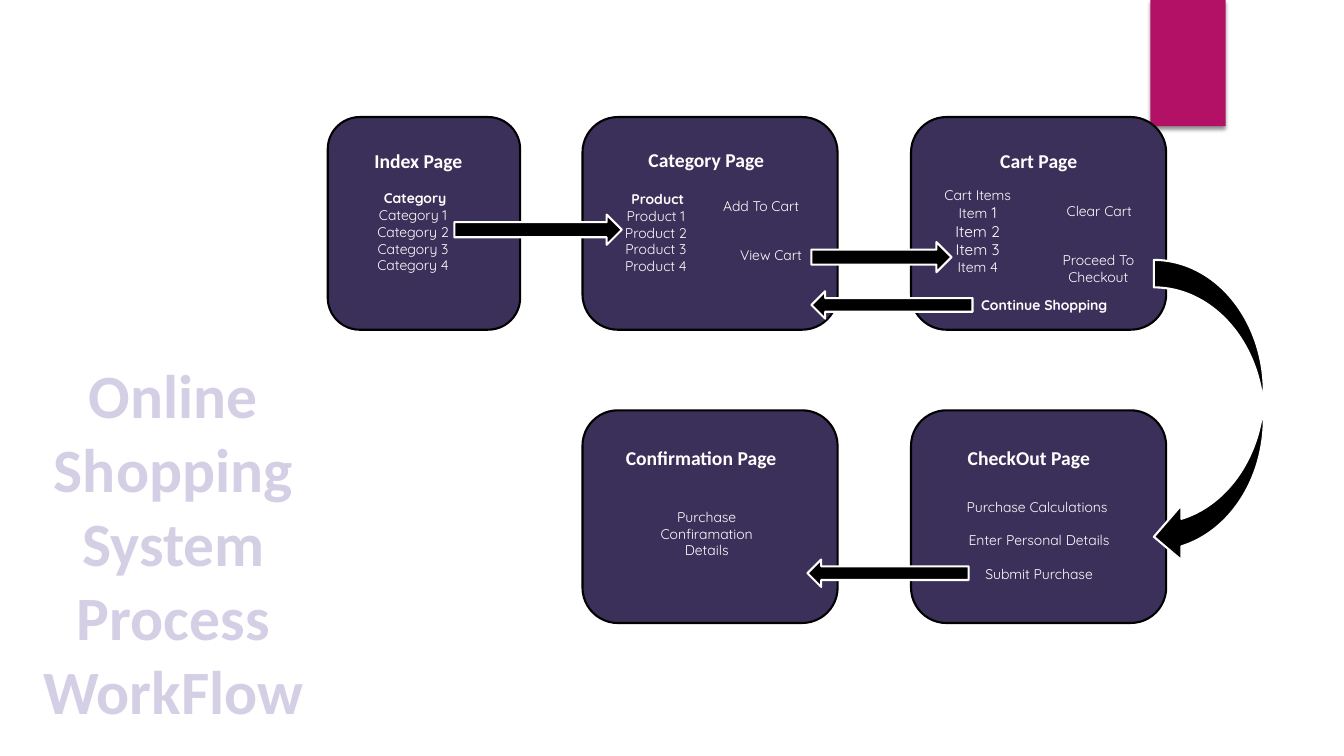
from lxml.etree import SubElement
from pptx import Presentation
from pptx.dml.color import RGBColor
from pptx.enum.shapes import MSO_SHAPE as Preset
from pptx.enum.text import MSO_ANCHOR as Anchor, MSO_AUTO_SIZE as AutoSize, PP_ALIGN as Align
from pptx.oxml.ns import qn
from pptx.util import Cm, Pt

COLORS = {"card": "3B3059", "tab": "B31166", "title": "D5CFE5",
          "ink": "000000", "paper": "FFFFFF"}

# Content: places are left, top, width (and height) in cm
TITLE = "Online Shopping System Process WorkFlow"
TITLE_PLACE = (0.62, 8.87, 7.5, 9.65)
TAB_PLACE = (28.99, 0, 1.9, 3.18)

CARD_TOPS, CARD_HEIGHT = (2.95, 10.34), 5.36
CARD_COLUMNS = ((8.26, 4.85), (14.68, 6.43), (22.96, 6.43))
# Page name, row, column, heading place
PAGES = [
    ("Index Page", 0, 0, (8.87, 3.63, 3.35)),
    ("Category Page", 0, 1, (14.69, 3.61, 6.22)),
    ("Cart Page", 0, 2, (23.07, 3.63, 6.22)),
    ("CheckOut Page", 1, 2, (22.82, 11.1, 6.22)),
    ("Confirmation Page", 1, 1, (14.56, 11.1, 6.22)),
]

# Lists: a line is a list of (words, size, bold)
CATEGORIES = [[(" Category", 10, True)]] + [[(f"Category {n}", 10, False)] for n in range(1, 5)]
PRODUCTS = [[(" Product", 10, True)]] + [[(f"Product {n}", 10, False)] for n in range(1, 5)]
CART_ITEMS = [
    [("Cart Items", 10, False)],
    [("Item", 10, False), (" 1", 11, False)],
    [("Item 2", 11, False)],
    [("Item 3", 11, False)],
    [("Item 4", 10, False)],
]
LISTS = [
    (CATEGORIES, (9.04, 4.65, 2.74)),
    (PRODUCTS, (15.16, 4.67, 2.74)),
    (CART_ITEMS, (23.27, 4.57, 2.74)),
]
ACTIONS = [
    ("Add To Cart", False, (17.91, 4.85, 2.54)),
    ("View Cart", False, (18.16, 6.09, 2.54)),
    ("Clear Cart", False, (26.42, 4.98, 2.57)),
    ("Proceed To Checkout", False, (26.37, 6.22, 2.62)),
    ("Continue Shopping", True, (23.98, 7.33, 4.67)),
    ("Purchase Calculations", False, (23.47, 12.44, 5.33)),
    ("Enter Personal Details", False, (23.52, 13.27, 5.33)),
    ("Submit Purchase", False, (23.52, 14.12, 5.33)),
    ("Purchase Confiramation Details", False, (15.88, 12.68, 3.86)),
]
ARROWS = [
    (Preset.RIGHT_ARROW, (11.45, 5.41, 4.22, 0.76)),
    (Preset.RIGHT_ARROW, (20.45, 6.1, 3.53, 0.76)),
    (Preset.LEFT_ARROW, (20.45, 7.34, 4.06, 0.69)),
    (Preset.CURVED_LEFT_ARROW, (29.08, 6.55, 2.77, 7.67)),
    (Preset.LEFT_ARROW, (20.35, 14.1, 4.06, 0.69)),
]
FRAME_FORMAT = {"word_wrap": True, "auto_size": AutoSize.NONE, "vertical_anchor": Anchor.TOP,
                "margin_left": Cm(0.25), "margin_right": Cm(0.25),
                "margin_top": Cm(0.13), "margin_bottom": Cm(0.13)}


def color(name):
    return RGBColor.from_string(COLORS[name])


def apply_format(target, values):
    for attribute, value in values.items():
        setattr(target, attribute, value)


def write(frame, lines, font_name, ink="paper"):
    apply_format(frame, FRAME_FORMAT)
    for number, line in enumerate(lines):
        paragraph = frame.add_paragraph() if number else frame.paragraphs[0]
        paragraph.alignment = Align.CENTER
        for words, size, bold in line:
            run = paragraph.add_run()
            run.text = words
            apply_format(run.font, {"name": font_name, "size": Pt(size), "bold": bold})
            run.font.color.rgb = color(ink)


def add_text(slide, place, lines, font_name):
    height = 0.26 + 0.45 * len(lines)
    box = slide.shapes.add_textbox(*map(Cm, (*place, height)))
    write(box.text_frame, lines, font_name)


def add_figure(slide, preset, place, fill, outline=None):
    figure = slide.shapes.add_shape(preset, *map(Cm, place))
    figure.shadow.inherit = False
    figure.fill.solid()
    figure.fill.fore_color.rgb = color(fill)
    if outline:
        figure.line.color.rgb = color(outline)
        figure.line.width = Pt(1.5)
    else:
        figure.line.fill.background()
    return figure


def add_soft_shadow(figure):
    effects = figure.element.spPr.find(qn("a:effectLst"))
    shadow = SubElement(effects, qn("a:outerShdw"), blurRad=str(Pt(3)), dist=str(Pt(2)),
                        dir="5400000", rotWithShape="0")
    black = SubElement(shadow, qn("a:srgbClr"), val=COLORS["ink"])
    SubElement(black, qn("a:alpha"), val="45000")


def main():
    deck = Presentation()
    deck.slide_width, deck.slide_height = Cm(33.87), Cm(19.05)
    slide = deck.slides.add_slide(deck.slide_layouts[5])

    # Title
    title = slide.shapes.title
    apply_format(title, dict(zip(("left", "top", "width", "height"), map(Cm, TITLE_PLACE))))
    write(title.text_frame, [[(TITLE, 44, True)]], "Calibri", "title")

    # Corner tab
    add_soft_shadow(add_figure(slide, Preset.RECTANGLE, TAB_PLACE, "tab"))

    # Page cards with headings
    for name, row, column, heading_place in PAGES:
        left, width = CARD_COLUMNS[column]
        add_figure(slide, Preset.ROUNDED_RECTANGLE,
                   (left, CARD_TOPS[row], width, CARD_HEIGHT), "card", "ink")
        add_text(slide, heading_place, [[(name, 14, True)]], "Calibri")

    # Lists and actions on the cards
    for lines, place in LISTS:
        add_text(slide, place, lines, "Quicksand")
    for words, bold, place in ACTIONS:
        add_text(slide, place, [[(words, 10, bold)]], "Quicksand")

    # Flow arrows
    for preset, place in ARROWS:
        add_figure(slide, preset, place, "ink", "paper")

    deck.save("out.pptx")


if __name__ == "__main__":
    main()
